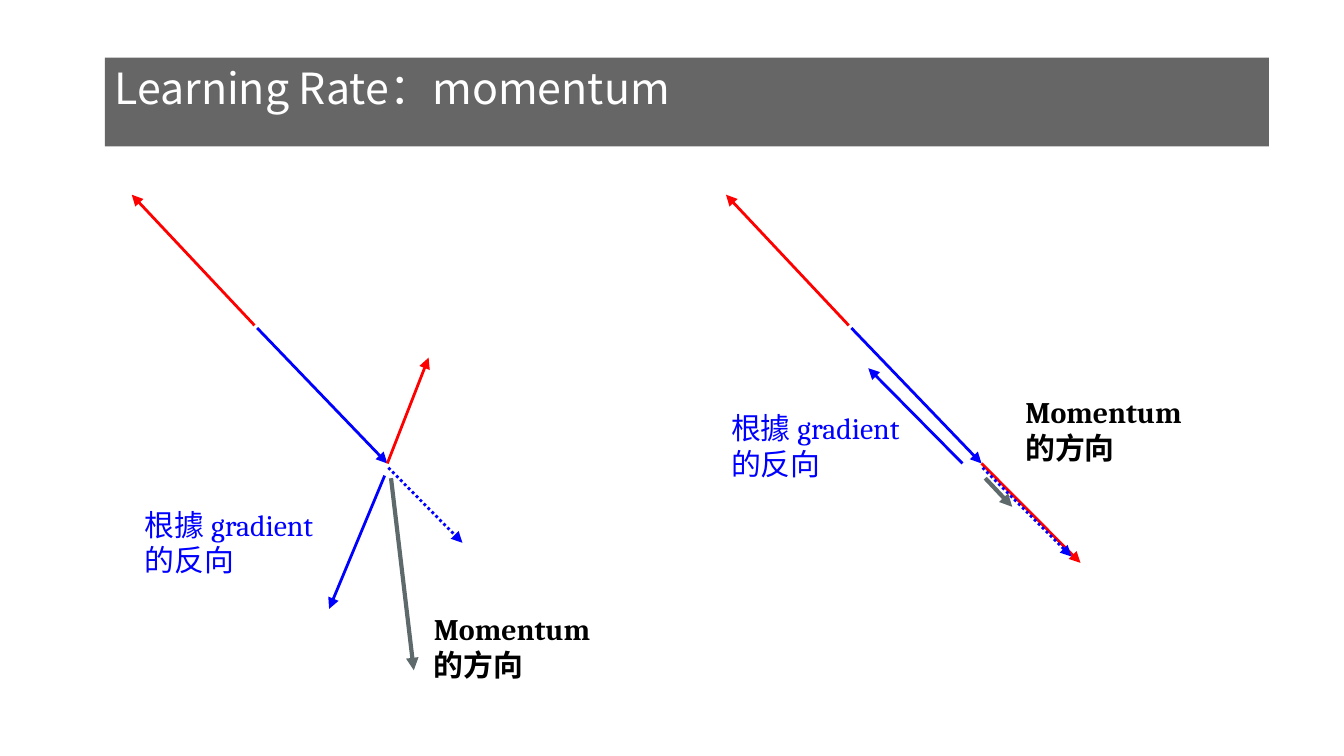
from lxml.etree import SubElement
from pptx import Presentation
from pptx.dml.color import RGBColor
from pptx.enum.dml import MSO_LINE
from pptx.enum.shapes import MSO_CONNECTOR
from pptx.enum.text import MSO_ANCHOR, MSO_AUTO_SIZE, PP_ALIGN
from pptx.oxml.ns import qn
from pptx.util import Cm, Pt

COLORS = {
    "band": "666666",
    "title": "FFFFFF",
    "gradient": "FF0000",
    "descent": "0000FF",
    "momentum": "5E696C",
    "label": "000000",
}
LATIN_FONT = "Cambria"
CJK_FONT = "Noto Sans CJK TC"


class SlideBuilder:
    """Holds the slide and draws its elements in one style; lengths are in cm."""

    def __init__(self, slide):
        self.slide = slide

    def color(self, key):
        return RGBColor.from_string(COLORS[key])

    def fill_text(self, frame, text, size, font_name, color, margin, bold=False):
        frame.word_wrap = True
        frame.auto_size = MSO_AUTO_SIZE.NONE
        frame.vertical_anchor = MSO_ANCHOR.TOP
        frame.margin_left = frame.margin_right = Cm(margin)
        frame.margin_top = frame.margin_bottom = Cm(margin)
        frame.text = text
        paragraph = frame.paragraphs[0]
        paragraph.alignment = PP_ALIGN.LEFT
        font = paragraph.runs[0].font
        font.size = Pt(size)
        font.bold = bold
        font.color.rgb = self.color(color)
        font.name = font_name
        east_asian = SubElement(paragraph.runs[0]._r.get_or_add_rPr(), qn("a:ea"))
        east_asian.set("typeface", CJK_FONT)
        return paragraph

    def title(self, text, left, top, width, height):
        band = self.slide.shapes.title
        band.left, band.top = Cm(left), Cm(top)
        band.width, band.height = Cm(width), Cm(height)
        band.fill.solid()
        band.fill.fore_color.rgb = self.color("band")
        paragraph = self.fill_text(band.text_frame, text, 23, CJK_FONT, "title", 0.18)
        paragraph.line_spacing = 0.9
        paragraph.space_before = Pt(0)
        paragraph.space_after = Pt(2)

    def label(self, text, left, top, width, height, color, bold=False):
        box = self.slide.shapes.add_textbox(Cm(left), Cm(top), Cm(width), Cm(height))
        self.fill_text(box.text_frame, text, 16, LATIN_FONT, color, 0.25, bold)

    def arrow(self, start, end, color, width=1.5, dotted=False):
        points = [Cm(length) for length in (*start, *end)]
        arrow = self.slide.shapes.add_connector(MSO_CONNECTOR.STRAIGHT, *points)
        arrow.line.color.rgb = self.color(color)
        arrow.line.width = Pt(width)
        if dotted:
            arrow.line.dash_style = MSO_LINE.ROUND_DOT
        SubElement(arrow.line._get_or_add_ln(), qn("a:tailEnd")).set("type", "triangle")
        SubElement(arrow._element.spPr, qn("a:effectLst"))

    def momentum_case(self, left, descent, gradient_end, inertia_end,
                      momentum_end, descent_label, momentum_label):
        """Draws a first step and the forces on the next; x counts from left."""

        def place(point):
            return left + point[0], point[1]

        turn = (4.83, 8.76)
        self.arrow(place((2.32, 6.15)), place((0, 3.68)), "gradient")
        self.arrow(place((2.37, 6.2)), place(turn), "descent")
        self.arrow(*map(place, descent), "descent")
        self.arrow(place(turn), place(gradient_end), "gradient")
        self.arrow(place((4.85, 8.84)), place(inertia_end), "descent", dotted=True)
        self.arrow(place((4.9, 9.04)), place(momentum_end), "momentum", 2.25)
        self.label("根據 gradient 的反向", *place(descent_label), 4.24, 1.55, "descent")
        self.label("Momentum 的方向", *place(momentum_label), 3.61, 2.18, "label", bold=True)


def main():
    presentation = Presentation()
    presentation.slide_width, presentation.slide_height = Cm(25.4), Cm(14.29)
    title_only = presentation.slide_layouts[5]
    builder = SlideBuilder(presentation.slides.add_slide(title_only))
    builder.title("Learning Rate：momentum", 1.98, 1.09, 22, 1.68)

    # The new gradient turns aside
    builder.momentum_case(
        left=2.49,
        descent=((4.78, 8.99), (3.73, 11.51)),
        gradient_end=(5.61, 6.76),
        inertia_end=(6.25, 10.26),
        momentum_end=(5.33, 12.67),
        descent_label=(0, 9.32),
        momentum_label=(5.46, 11.3),
    )
    # The new gradient points against the first step
    builder.momentum_case(
        left=13.72,
        descent=((4.47, 8.76), (2.69, 6.96)),
        gradient_end=(6.7, 10.64),
        inertia_end=(6.53, 10.52),
        momentum_end=(5.41, 9.58),
        descent_label=(-0.15, 7.49),
        momentum_label=(5.41, 7.19),
    )
    presentation.save("out.pptx")


if __name__ == "__main__":
    main()
